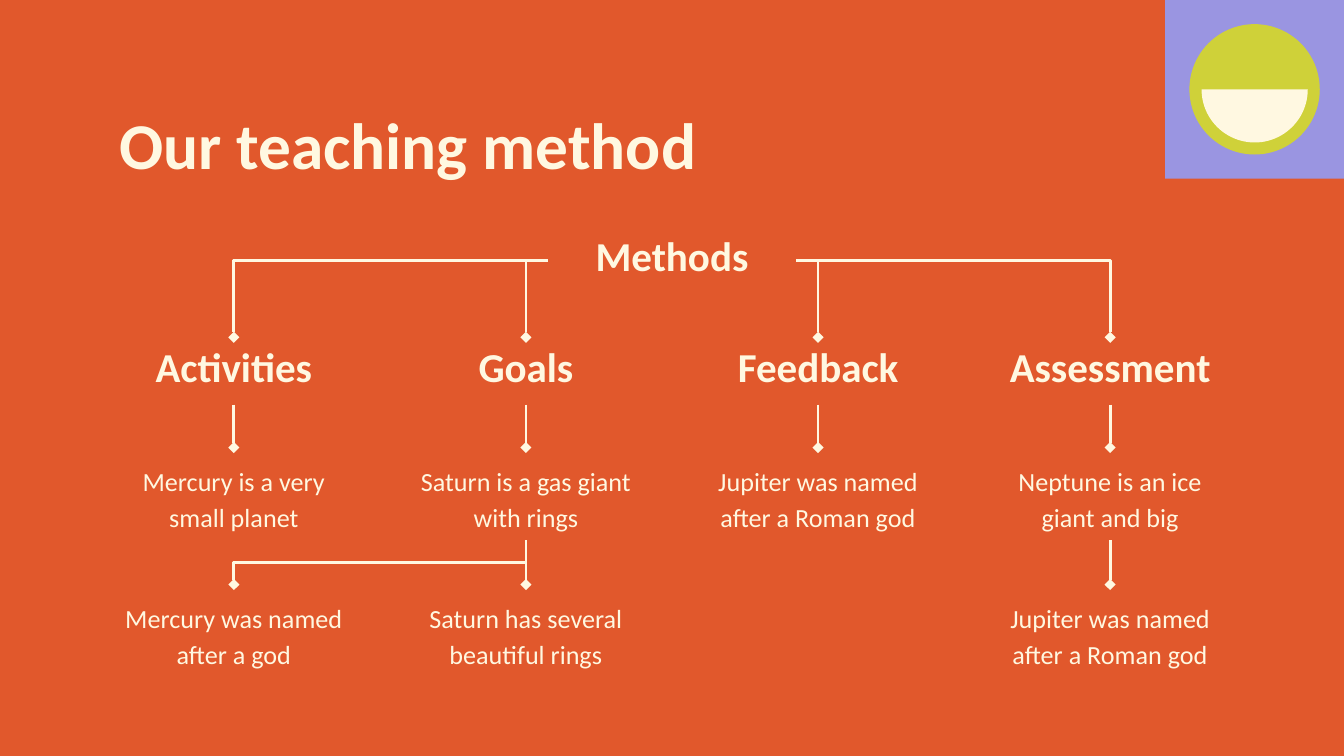
from lxml.etree import SubElement
from pptx import Presentation
from pptx.dml.color import RGBColor
from pptx.enum.shapes import MSO_CONNECTOR, MSO_SHAPE
from pptx.enum.text import MSO_ANCHOR, PP_ALIGN
from pptx.oxml.ns import qn
from pptx.util import Inches, Pt

COLORS = {"background": "E1582C", "corner": "9A95E1", "ring": "CFD139", "cream": "FFF8E1"}
FONT = "Calibri"
SLIDE_WIDTH = 10
SLIDE_HEIGHT = SLIDE_WIDTH * 9 / 16
MARGIN = 0.78
COLUMN_WIDTH = 1.92
COLUMN_STEP = (SLIDE_WIDTH - 2 * MARGIN - COLUMN_WIDTH) / 3
HEADING_TOP, HEADING_HEIGHT = 2.51, 0.5
NOTE_TOPS, NOTE_HEIGHT = (3.33, 4.35), 0.69
TOP, LEFT, BOTTOM, RIGHT = range(4)

BRANCHES = [
    ("Activities", "Mercury is a very small planet", "Mercury was named after a god"),
    ("Goals", "Saturn is a gas giant with rings", "Saturn has several beautiful rings"),
    ("Feedback", "Jupiter was named after a Roman god", None),
    ("Assessment", "Neptune is an ice giant and big", "Jupiter was named after a Roman god"),
]


def color(name):
    return RGBColor.from_string(COLORS[name])


def add_text(page, text, left, top, width, height, *, size=14, bold=False,
             align=PP_ALIGN.CENTER, anchor=MSO_ANCHOR.TOP):
    box = page.shapes.add_textbox(Inches(left), Inches(top), Inches(width), Inches(height))
    frame = box.text_frame
    frame.word_wrap = True
    frame.vertical_anchor = anchor
    frame.margin_left = frame.margin_right = Inches(0.1)
    frame.margin_top = frame.margin_bottom = Inches(0.1)
    para = frame.paragraphs[0]
    para.alignment = align
    para.line_spacing = 1.15
    span = para.add_run()
    span.text = text
    span.font.name = FONT
    span.font.size = Pt(size)
    span.font.bold = bold
    span.font.color.rgb = color("cream")
    return box


def add_heading(page, text, left, top, width, height):
    return add_text(page, text, left, top, width, height, size=22, bold=True,
                    anchor=MSO_ANCHOR.BOTTOM)


def add_corner_shape(page, kind, fill, inset):
    """Add a square shape, inset from the edges of the top right corner tile."""
    tile = 1.33
    side = Inches(tile - 2 * inset)
    shape = page.shapes.add_shape(
        kind, Inches(SLIDE_WIDTH - tile + inset), Inches(inset), side, side)
    shape.shadow.inherit = False
    shape.fill.solid()
    shape.fill.fore_color.rgb = color(fill)
    shape.line.fill.background()
    return shape


def add_corner(page):
    add_corner_shape(page, MSO_SHAPE.RECTANGLE, "corner", 0)
    add_corner_shape(page, MSO_SHAPE.OVAL, "ring", 0.18)
    half = add_corner_shape(page, MSO_SHAPE.CHORD, "cream", 0.27)
    half.adjustments[0], half.adjustments[1] = 0, 108


def join(page, start, start_side, end, kind=MSO_CONNECTOR.STRAIGHT):
    """Link one side of a box to the top of another, ending in a diamond."""
    link = page.shapes.add_connector(kind, 0, 0, 0, 0)
    link.begin_connect(start, start_side)
    link.end_connect(end, TOP)
    link.line.color.rgb = color("cream")
    link.line.width = Pt(1.5)
    SubElement(link.line._get_or_add_ln(), qn("a:tailEnd"), type="diamond")
    SubElement(link._element.spPr, qn("a:effectLst"))
    return link


def join_around_corner(page, start, start_side, end):
    link = join(page, start, start_side, end, MSO_CONNECTOR.ELBOW)
    link._element.spPr.find(qn("a:prstGeom")).set("prst", "bentConnector2")


def join_down_and_left(page, start, end):
    """Link with a step: the preset runs sideways, so it is turned a quarter."""
    link = join(page, start, BOTTOM, end, MSO_CONNECTOR.ELBOW)
    width, height = link.width, link.height
    shift = (width - height) // 2
    link.left, link.top = link.left + shift, link.top - shift
    link.width, link.height = height, width
    frame = link._element.spPr.find(qn("a:xfrm"))
    frame.attrib.pop("flipH", None)
    frame.set("rot", str(90 * 60000))


def add_branch(page, column, heading, notes):
    left = MARGIN + column * COLUMN_STEP
    boxes = [add_heading(page, heading, left, HEADING_TOP, COLUMN_WIDTH, HEADING_HEIGHT)]
    for note, top in zip(notes, NOTE_TOPS):
        if note:
            boxes.append(add_text(page, note, left, top, COLUMN_WIDTH, NOTE_HEIGHT))
    return boxes


def main():
    deck = Presentation()
    deck.slide_width, deck.slide_height = Inches(SLIDE_WIDTH), Inches(SLIDE_HEIGHT)
    page = deck.slides.add_slide(deck.slide_layouts[6])
    page.background.fill.solid()
    page.background.fill.fore_color.rgb = color("background")

    add_corner(page)
    add_text(page, "Our teaching method", 0.79, 0.59, 8.43, 0.63,
             size=35, bold=True, align=PP_ALIGN.LEFT)
    root_width = 1.85
    root = add_heading(page, "Methods", (SLIDE_WIDTH - root_width) / 2, 1.7, root_width, 0.48)

    branches = [add_branch(page, column, heading, notes)
                for column, (heading, *notes) in enumerate(BRANCHES)]
    for column, boxes in enumerate(branches):
        join_around_corner(page, root, LEFT if column < 2 else RIGHT, boxes[0])
        # The second note under Activities hangs from the Goals branch.
        chain = boxes[:2] if column == 0 else boxes
        for upper, lower in zip(chain, chain[1:]):
            join(page, upper, BOTTOM, lower)
    activities, goals = branches[:2]
    join_down_and_left(page, goals[1], activities[2])

    deck.save("out.pptx")


if __name__ == "__main__":
    main()
